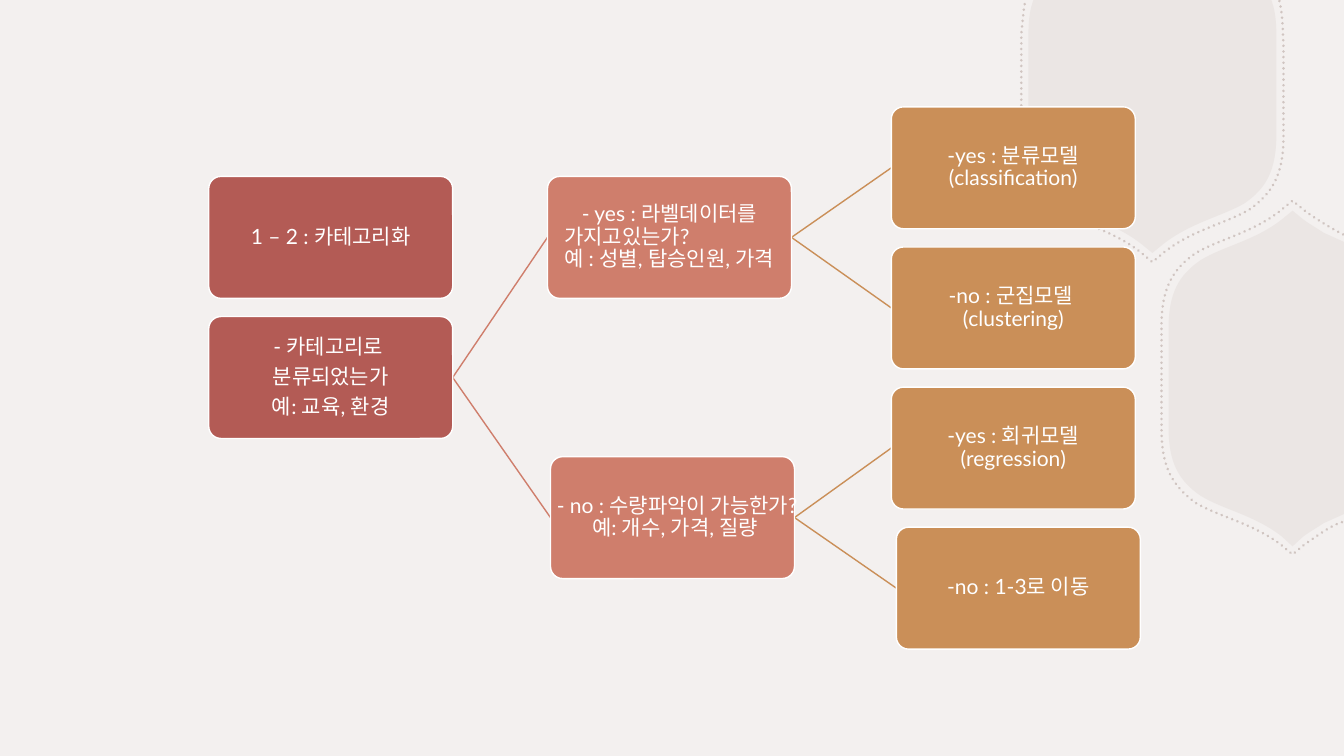
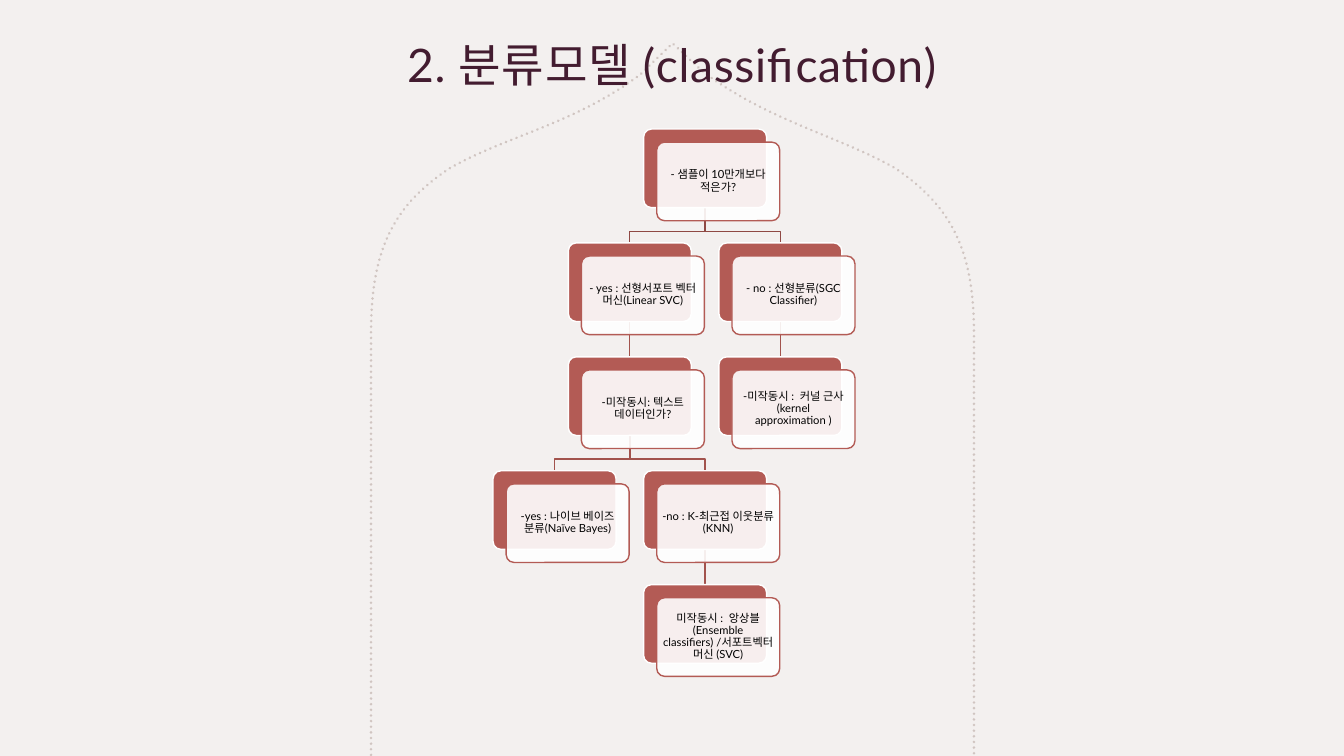
from lxml.etree import SubElement
from pptx import Presentation
from pptx.dml.color import RGBColor
from pptx.enum.dml import MSO_LINE
from pptx.enum.shapes import MSO_CONNECTOR, MSO_SHAPE
from pptx.enum.text import MSO_ANCHOR, PP_ALIGN
from pptx.oxml.ns import qn
from pptx.util import Inches, Pt

FONT = "Lato"
BACKGROUND = RGBColor(0xF3, 0xF0, 0xEF)
TAUPE = RGBColor(0xBF, 0xAF, 0xAA)
PLUM = RGBColor(0x43, 0x1C, 0x30)
RED = RGBColor(0xB3, 0x5B, 0x55)
CORAL = RGBColor(0xCF, 0x7E, 0x6C)
OCHRE = RGBColor(0xCA, 0x8F, 0x58)
DARK_RED = RGBColor(0x8F, 0x49, 0x44)
MID_RED = RGBColor(0xA2, 0x53, 0x4D)
WHITE = RGBColor(0xFF, 0xFF, 0xFF)
BLACK = RGBColor(0, 0, 0)


def add_box(slide, left, top, width, height, fill, line, text="", size=15,
            color=WHITE, margin=0.01):
    """Add a rounded box; each line of text becomes a paragraph."""
    sp = slide.shapes.add_shape(MSO_SHAPE.ROUNDED_RECTANGLE, Inches(left), Inches(top),
                                Inches(width), Inches(height))
    sp.adjustments[0] = 0.1
    sp.shadow.inherit = False
    sp.fill.solid()
    sp.fill.fore_color.rgb = fill
    sp.line.color.rgb = line
    sp.line.width = Pt(1)
    tf = sp.text_frame
    tf.word_wrap = True
    tf.vertical_anchor = MSO_ANCHOR.MIDDLE
    tf.margin_left = tf.margin_right = tf.margin_top = tf.margin_bottom = Inches(margin)
    tf.text = text
    for p in tf.paragraphs:
        p.alignment = PP_ALIGN.CENTER
        p.line_spacing = 0.9
        p.space_after = Pt(0.35 * size)
        p.font.name = FONT
        p.font.size = Pt(size)
        p.font.color.rgb = color
    return sp


def add_link(slide, start, end, color, kind=MSO_CONNECTOR.STRAIGHT):
    line = slide.shapes.add_connector(kind, *[Inches(v) for v in start + end])
    line.line.color.rgb = color
    line.line.width = Pt(1)
    SubElement(line._element.spPr, qn("a:effectLst"))
    return line


prs = Presentation()
prs.slide_width, prs.slide_height = Inches(13.33), Inches(7.5)
master_fill = prs.slide_master.background.fill
master_fill.solid()
master_fill.fore_color.rgb = BACKGROUND
tree_slide, model_slide = [prs.slides.add_slide(prs.slide_layouts[6]) for _ in range(2)]

# Decorations: two numbers are a line to a point, six are a Bezier curve
TOP_HEXAGON = [
    (10.25, 0), (12.61, 0), (12.62, 0.03), (12.65, 0.12, 12.66, 0.23, 12.66, 0.36),
    (12.66, 1.33), (12.66, 1.69, 12.56, 1.87, 12.34, 2.02),
    (12.11, 2.15, 11.81, 2.21, 11.54, 2.42), (11.43, 2.51), (11.32, 2.42),
    (11.05, 2.21, 10.75, 2.15, 10.52, 2.02), (10.3, 1.87, 10.2, 1.69, 10.2, 1.33),
    (10.2, 0.36), (10.2, 0.23, 10.21, 0.12, 10.24, 0.03)]
SIDE_HEXAGON = [
    (12.82, 2.09), (12.93, 2.18), (13, 2.23, 13.07, 2.27, 13.13, 2.31), (13.33, 2.4),
    (13.33, 5.1), (13.13, 5.19), (13.07, 5.23, 13, 5.27, 12.93, 5.32), (12.82, 5.42),
    (12.71, 5.32), (12.44, 5.11, 12.14, 5.06, 11.91, 4.92),
    (11.69, 4.77, 11.59, 4.59, 11.59, 4.24), (11.59, 3.26),
    (11.59, 2.91, 11.69, 2.73, 11.91, 2.58), (12.14, 2.44, 12.44, 2.39, 12.71, 2.18)]
TOP_DOTS = [
    (12.69, 0.01), (12.73, 0.19, 12.72, 0.3, 12.73, 0.44), (12.73, 1.36),
    (12.73, 1.73, 12.62, 1.92, 12.39, 2.08), (12.15, 2.22, 11.83, 2.28, 11.55, 2.5),
    (11.43, 2.6), (11.31, 2.5), (11.03, 2.28, 10.71, 2.22, 10.47, 2.08),
    (10.24, 1.92, 10.13, 1.73, 10.13, 1.36), (10.13, 0.33),
    (10.14, 0.26, 10.15, 0.09, 10.17, 0.01)]
SIDE_DOTS = [
    (13.31, 5.18), (13.18, 5.22, 13.02, 5.35, 12.94, 5.4), (12.82, 5.5), (12.7, 5.4),
    (12.42, 5.19, 12.1, 5.13, 11.86, 4.99), (11.63, 4.82, 11.52, 4.64, 11.52, 4.26),
    (11.52, 3.23), (11.52, 2.86, 11.63, 2.67, 11.86, 2.51),
    (12.1, 2.37, 12.42, 2.31, 12.7, 2.09), (12.82, 1.99), (12.94, 2.09),
    (13.02, 2.15, 13.19, 2.26, 13.33, 2.33)]
ARCH_DOTS = [
    (3.68, 7.49), (3.68, 3.3), (3.68, 2.45, 3.92, 2.03, 4.46, 1.67),
    (5.02, 1.35, 5.7, 1.23, 6.35, 0.74), (6.67, 0.43), (6.97, 0.71),
    (7.62, 1.2, 8.32, 1.35, 8.88, 1.67), (9.41, 2.03, 9.66, 2.45, 9.66, 3.3),
    (9.66, 7.49)]

for s, outline, filled in [(tree_slide, TOP_HEXAGON, True), (tree_slide, SIDE_HEXAGON, True),
                           (tree_slide, TOP_DOTS, False), (tree_slide, SIDE_DOTS, False),
                           (model_slide, ARCH_DOTS, False)]:
    corners = [(Inches(seg[-2]), Inches(seg[-1])) for seg in outline]
    builder = s.shapes.build_freeform(*corners[0])
    builder.add_line_segments(corners[1:], close=filled)
    sp = builder.convert_to_shape()
    sp.shadow.inherit = False
    spPr = sp._element.spPr
    # Bend the segments that have control points
    for seg, edge in zip(outline[1:], list(spPr.iter(qn("a:lnTo")))):
        if len(seg) == 6:
            edge.tag = qn("a:cubicBezTo")
            corner = edge[0]
            for x, y in (seg[:2], seg[2:4]):
                SubElement(edge, qn("a:pt"), x=str(Inches(x) - sp.left),
                           y=str(Inches(y) - sp.top))
            edge.append(corner)
    if filled:
        sp.fill.solid()
        sp.fill.fore_color.rgb = TAUPE
        sp.line.fill.background()
    else:
        sp.fill.background()
        sp.line.color.rgb = TAUPE
        sp.line.width = Pt(2)
        sp.line.dash_style = MSO_LINE.ROUND_DOT
        spPr.find(qn("a:ln")).set("cap", "rnd")
    for clr in spPr.iter(qn("a:srgbClr")):
        SubElement(clr, qn("a:alpha"), val="15000" if filled else "65000")

# Slide 1: decision tree
BOX_W, BOX_H = 2.42, 1.21
decisions = {
    "topic": (2.07, 1.75, RED, "1 – 2 : 카테고리화"),
    "root": (2.07, 3.14, RED, "- 카테고리로 \n분류되었는가\n예: 교육, 환경"),
    "labelled": (5.43, 1.75, CORAL,
                 "- yes : 라벨데이터를\n가지고있는가?\n예 : 성별, 탑승인원, 가격"),
    "quantity": (5.46, 4.53, CORAL, "- no : 수량파악이 가능한가? 예: 개수, 가격, 질량"),
    "classification": (8.84, 1.06, OCHRE, "-yes : 분류모델 (classification)"),
    "clustering": (8.84, 2.45, OCHRE, "-no : 군집모델 \v(clustering)"),
    "regression": (8.84, 3.84, OCHRE, "-yes : 회귀모델 (regression)"),
    "next": (8.89, 5.23, OCHRE, "-no : 1-3로 이동"),
}
branches = {"root": ["labelled", "quantity"],
            "labelled": ["classification", "clustering"],
            "quantity": ["regression", "next"]}
for parent, children in branches.items():
    px, py = decisions[parent][:2]
    for child in children:
        cx, cy, color, _ = decisions[child]
        add_link(tree_slide, (px + BOX_W, py + BOX_H / 2), (cx, cy + BOX_H / 2), color)
boxes = {name: add_box(tree_slide, x, y, BOX_W, BOX_H, color, WHITE, text)
         for name, (x, y, color, text) in decisions.items()}

# The label question is one block whose second line starts at the left
question = boxes["labelled"].text_frame.paragraphs
for p in question:
    p.space_after = Pt(0)
question[1].alignment = PP_ALIGN.LEFT
question[1]._p.pPr.set("marL", str(Inches(0.12)))

# Slide 2: title and model chart
title = model_slide.shapes.add_textbox(Inches(1.04), Inches(0.26), Inches(11.25), Inches(0.75))
tf = title.text_frame
tf.word_wrap = True
tf.vertical_anchor = MSO_ANCHOR.MIDDLE
p = tf.paragraphs[0]
p.text = "2. 분류모델 (classification)"
p.alignment = PP_ALIGN.CENTER
p.font.name = FONT
p.font.size = Pt(33)
p.font.color.rgb = PLUM
p._p.pPr.find(qn("a:defRPr")).set("spc", "50")

CARD_W, CARD_H, OFFSET = 1.22, 0.78, 0.13
GRID_X, GRID_Y, STEP_X, STEP_Y = 4.89, 1.28, 2.24 / 3, 1.13
# (column, row) of each card
cards = {
    (2, 0): "- 샘플이 10만개보다 적은가?",
    (1, 1): "- yes : 선형서포트 벡터 머신(Linear SVC)",
    (1, 2): "-미작동시: 텍스트 데이터인가?",
    (0, 3): "-yes : 나이브 베이즈 분류(Naïve Bayes)",
    (2, 3): "-no : K-최근접 이웃분류(KNN)",
    (2, 4): "미작동시 :  앙상블(Ensemble classifiers) /서포트벡터머신 (SVC)",
    (3, 1): "- no : 선형분류(SGC Classifier)",
    (3, 2): "-미작동시 :  커널 근사 (kernel approximation )",
}
card_links = [((3, 1), (3, 2)), ((2, 0), (3, 1)), ((2, 3), (2, 4)), ((1, 2), (2, 3)),
              ((1, 2), (0, 3)), ((1, 1), (1, 2)), ((2, 0), (1, 1))]
for (parent_col, row), (child_col, child_row) in card_links:
    px, cx = [GRID_X + STEP_X * col + CARD_W / 2 for col in (parent_col, child_col)]
    py, cy = GRID_Y + STEP_Y * row + CARD_H, GRID_Y + STEP_Y * child_row
    color = MID_RED if row else DARK_RED
    if px == cx:
        add_link(model_slide, (px, py), (cx, cy), color)
        continue
    # An elbow leaves sideways, so it is laid flat and turned to run downwards
    mid_x, mid_y, half_w, half_h = (px + cx) / 2, (py + cy) / 2, (px - cx) / 2, (cy - py) / 2
    elbow = add_link(model_slide, (mid_x - half_h, mid_y - half_w),
                     (mid_x + half_h, mid_y + half_w), color, MSO_CONNECTOR.ELBOW)
    spPr = elbow._element.spPr
    spPr.find(qn("a:xfrm")).set("rot", "5400000")
    SubElement(spPr.find(qn("a:prstGeom")).find(qn("a:avLst")), qn("a:gd"),
               name="adj1", fmla="val 67000")
for (col, row), text in cards.items():
    x, y = GRID_X + STEP_X * col, GRID_Y + STEP_Y * row
    add_box(model_slide, x, y, CARD_W, CARD_H, RED, WHITE)
    front = add_box(model_slide, x + OFFSET, y + OFFSET, CARD_W, CARD_H, WHITE, RED,
                    text, size=8, color=BLACK, margin=0.03)
    clr = front._element.spPr.find(qn("a:solidFill")).find(qn("a:srgbClr"))
    SubElement(clr, qn("a:alpha"), val="90000")

prs.save("out.pptx")
